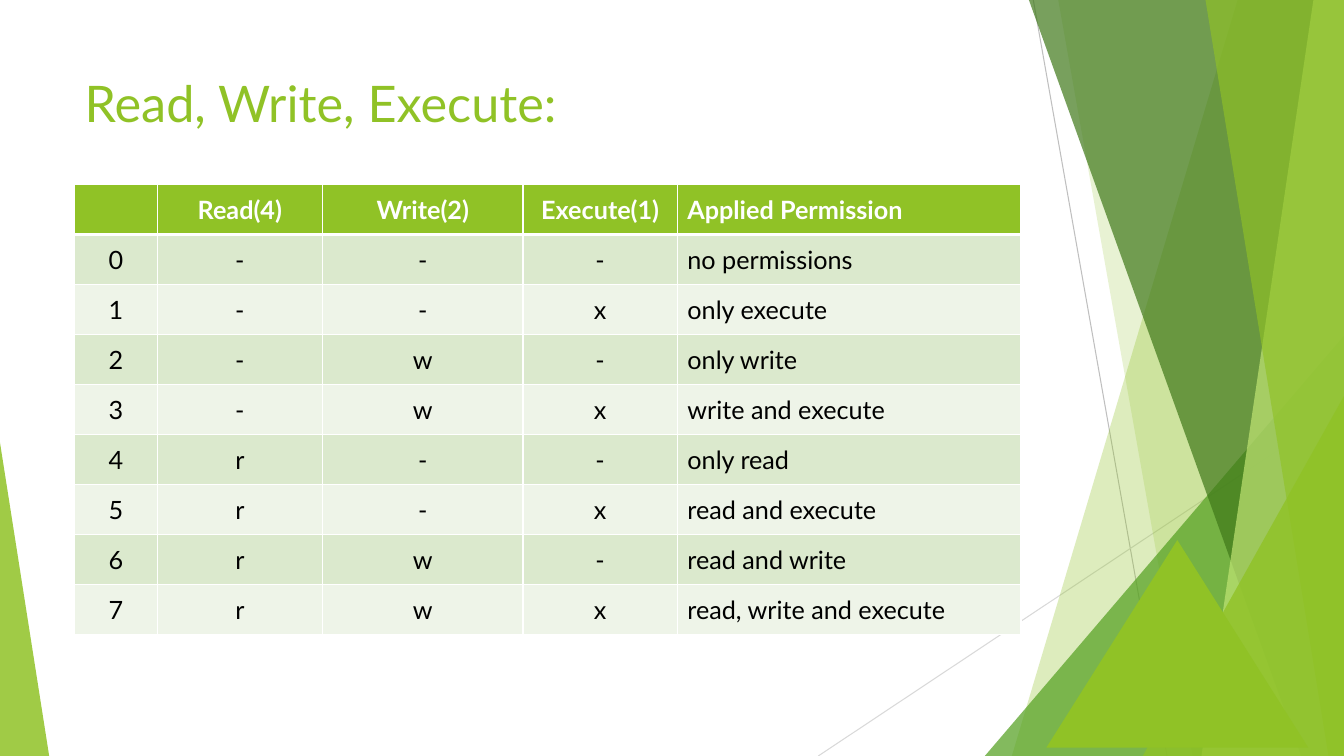
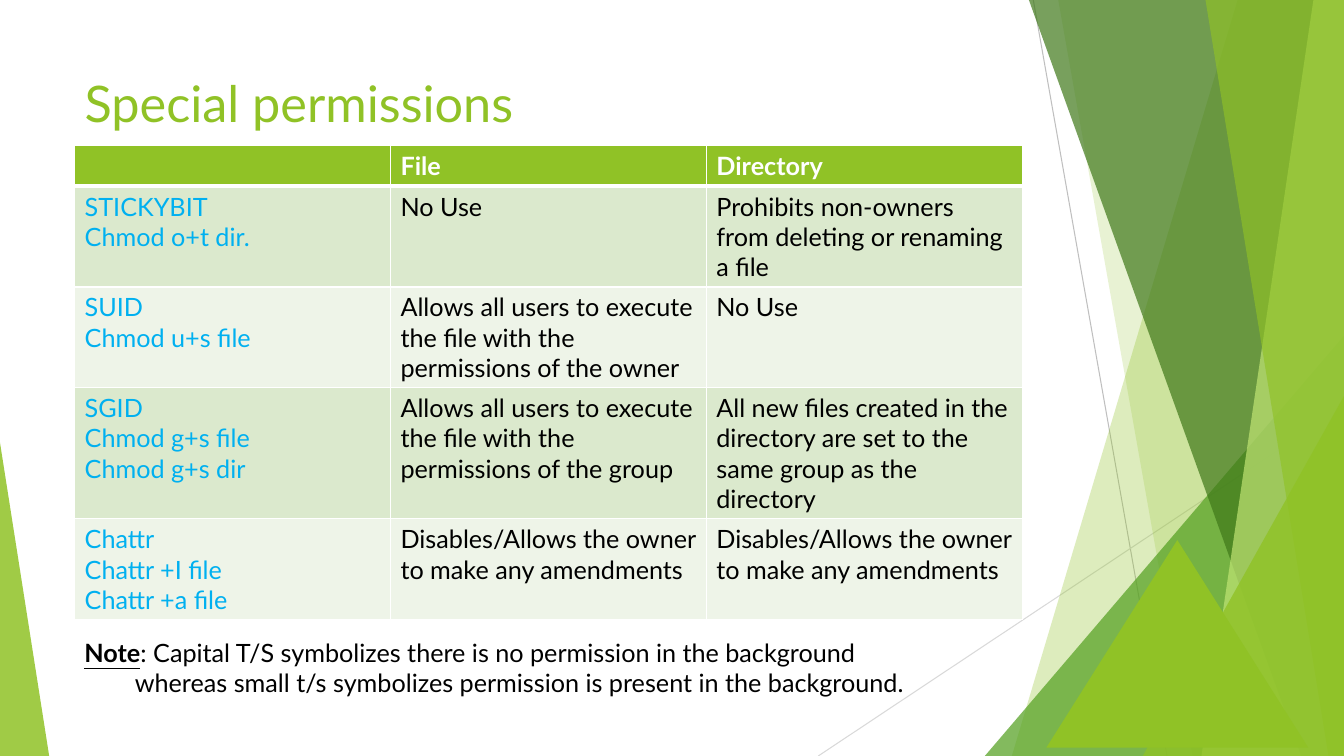
from dataclasses import dataclass

from lxml import etree
from pptx import Presentation
from pptx.dml.color import RGBColor
from pptx.enum.shapes import MSO_CONNECTOR, MSO_SHAPE
from pptx.enum.text import MSO_ANCHOR, MSO_AUTO_SIZE, PP_ALIGN
from pptx.oxml.ns import qn
from pptx.util import Cm, Pt

TRIANGLE = MSO_SHAPE.ISOSCELES_TRIANGLE
STRAIGHT = MSO_CONNECTOR.STRAIGHT
TOP, MIDDLE = MSO_ANCHOR.TOP, MSO_ANCHOR.MIDDLE
LEFT, CENTER = PP_ALIGN.LEFT, PP_ALIGN.CENTER


@dataclass(frozen=True)
class Theme:
    font: str = "Lato"
    title_size: int = 36
    text_size: int = 18
    green: str = "90C226"
    mid_green: str = "54A021"
    dark_green: str = "3F7819"
    pale_green: str = "C0E474"
    bands: tuple = ("DBE9CD", "EEF4E8")
    blue: str = "00B0F0"
    black: str = "000000"
    white: str = "FFFFFF"
    grays: tuple = ("BFBFBF", "D9D9D9")


T = Theme()
WIDTH, HEIGHT = 33.87, 19.05
MARGIN = 1.88


def paint(shape, colour, opacity=100):
    shape.shadow.inherit = False
    shape.fill.solid()
    shape.fill.fore_color.rgb = RGBColor.from_string(colour)
    shape.line.fill.background()
    if opacity < 100:
        clr = shape.element.spPr.find(".//" + qn("a:srgbClr"))
        etree.SubElement(clr, qn("a:alpha"), val=str(opacity * 1000))


def add_grid(s, top, widths, heights, rows, anchor, centred=0, accent=0):
    """Add a banded table; the first `centred` columns are centred, the first `accent` are blue."""
    frame = s.shapes.add_table(len(rows), len(widths), Cm(MARGIN), Cm(top),
                               Cm(sum(widths)), Cm(sum(heights)))
    table = frame.table
    for column, width in zip(table.columns, widths):
        column.width = Cm(width)
    for r, (row, height) in enumerate(zip(rows, heights)):
        table.rows[r].height = Cm(height)
        for c, text in enumerate(row):
            cell = table.cell(r, c)
            cell.text = text
            cell.vertical_anchor = anchor
            props = cell._tc.get_or_add_tcPr()
            for side in "LRTB":
                thick = (r, side) in ((0, "B"), (1, "T"))
                ln = etree.SubElement(props, qn(f"a:ln{side}"), w=str(Pt(3 if thick else 1)))
                fill = etree.SubElement(ln, qn("a:solidFill"))
                etree.SubElement(fill, qn("a:srgbClr"), val=T.white)
            cell.fill.solid()
            back = T.bands[(r - 1) % 2] if r else T.green
            cell.fill.fore_color.rgb = RGBColor.from_string(back)
            colour = T.white if r == 0 else T.blue if c < accent else T.black
            for p in cell.text_frame.paragraphs:
                p.alignment = CENTER if c < centred else LEFT
                p.font.name, p.font.size = T.font, Pt(T.text_size)
                p.font.bold = r == 0
                p.font.color.rgb = RGBColor.from_string(colour)


prs = Presentation()
prs.slide_width, prs.slide_height = Cm(WIDTH), Cm(HEIGHT)
layout = prs.slide_layouts[5]
title = layout.placeholders[0]
title.left, title.top, title.width, title.height = Cm(MARGIN), Cm(1.7), Cm(23.88), Cm(3.66)
title.text_frame.vertical_anchor = TOP
title.text_frame.auto_size = MSO_AUTO_SIZE.NONE

modes, special = [prs.slides.add_slide(layout) for _ in range(2)]

# Background facets, moved from the first slide to the shared layout
facets = modes.shapes.add_group_shape()
rays = [(26.04, 0, 29.41, HEIGHT), (WIDTH, 10.24, 20.62, HEIGHT)]
for ends, gray in zip(rays, T.grays):
    ray = facets.shapes.add_connector(STRAIGHT, *map(Cm, ends))
    ray.line.color.rgb = RGBColor.from_string(gray)
    ray.line.width = Pt(0.75)
    etree.SubElement(ray.element.spPr, qn("a:effectLst"))

# A band gives its left edge (x at top, x at bottom) and runs to the right side;
# a corner gives left, top, width and the position of its peak, and runs to the bottom.
pieces = [
    ("band", (31.19, 25.5), T.green, 30),
    ("band", (26.67, 30.05), T.green, 20),
    ("corner", (24.82, 8.46, 9.05, 1), T.mid_green, 72),
    ("band", (25.93, 32.79), T.dark_green, 70),
    ("band", (33.1, 30.28), T.pale_green, 70),
    ("band", (30.38, 33.48), T.green, 65),
    ("corner", (28.8, 9.98, 5.07, 1), T.green, 80),
    ("corner", (0, 11.15, 1.24, 0), T.green, 85),
]
for kind, place, colour, opacity in pieces:
    if kind == "band":
        top_x, bottom_x = place
        outline = facets.shapes.build_freeform(Cm(top_x), 0)
        outline.add_line_segments([(Cm(WIDTH), 0), (Cm(WIDTH), Cm(HEIGHT)),
                                   (Cm(bottom_x), Cm(HEIGHT))])
        facet = outline.convert_to_shape()
    else:
        x, y, width, peak = place
        facet = facets.shapes.add_shape(TRIANGLE, Cm(x), Cm(y), Cm(width), Cm(HEIGHT - y))
        facet.adjustments[0] = peak
    paint(facet, colour, opacity)
for number, props in enumerate(facets.element.iter(qn("p:cNvPr")), start=100):
    props.set("id", str(number))
layout.shapes.element.insert(2, facets.element)

for s, heading in ((modes, "Read, Write, Execute:"), (special, "Special permissions")):
    s.shapes.title.text = heading
    p = s.shapes.title.text_frame.paragraphs[0]
    p.alignment = LEFT
    p.font.name, p.font.size = T.font, Pt(T.title_size)
    p.font.color.rgb = RGBColor.from_string(T.green)

# Slide 1: the eight permission values
meanings = ["no permissions", "only execute", "only write", "write and execute",
            "only read", "read and execute", "read and write", "read, write and execute"]
mode_rows = [("", "Read(4)", "Write(2)", "Execute(1)", "Applied Permission")]
for value, meaning in enumerate(meanings):
    flags = [letter if value & bit else "-" for letter, bit in (("r", 4), ("w", 2), ("x", 1))]
    mode_rows.append((str(value), *flags, meaning))
add_grid(modes, 4.65, [2.08, 4.17, 5.05, 3.89, 8.66], [1.26] * len(mode_rows),
         mode_rows, MIDDLE, centred=4)

# Slide 2: special bits and the note
special_rows = [
    ("", "File", "Directory"),
    ("STICKYBIT\nChmod o+t dir.", "No Use",
     "Prohibits non-owners from deleting or renaming a file"),
    ("SUID\nChmod u+s file",
     "Allows all users to execute the file with the permissions of the owner", "No Use"),
    ("SGID\nChmod g+s file\nChmod g+s dir",
     "Allows all users to execute the file with the permissions of the group",
     "All new files created in the directory are set to the same group as the directory"),
    ("Chattr\nChattr +I file\nChattr +a file",
     "Disables/Allows the owner to make any amendments",
     "Disables/Allows the owner to make any amendments"),
]
add_grid(special, 3.66, [7.96] * 3, [1.03, 2.54, 2.54, 3.3, 2.54], special_rows, TOP, accent=1)

note = special.shapes.add_textbox(Cm(MARGIN), Cm(15.93), Cm(22.58), Cm(1.8))
tf = note.text_frame
tf.word_wrap = True
p = tf.paragraphs[0]
r = p.add_run()
r.text = "Note"
r.font.bold = r.font.underline = True
p.add_run().text = ": Capital T/S symbolizes there is no permission in the background"
p = tf.add_paragraph()
p.text = "whereas small t/s symbolizes permission is present in the background."
p._p.get_or_add_pPr().set("marL", str(Cm(1.27)))
for p in tf.paragraphs:
    p.font.name, p.font.size = T.font, Pt(T.text_size)
    p.font.color.rgb = RGBColor.from_string(T.black)

for s in (modes, special):
    peak = s.shapes.add_shape(TRIANGLE, Cm(26.37), Cm(13.61), Cm(6.6), Cm(5.23))
    paint(peak, T.green)

prs.save("out.pptx")
